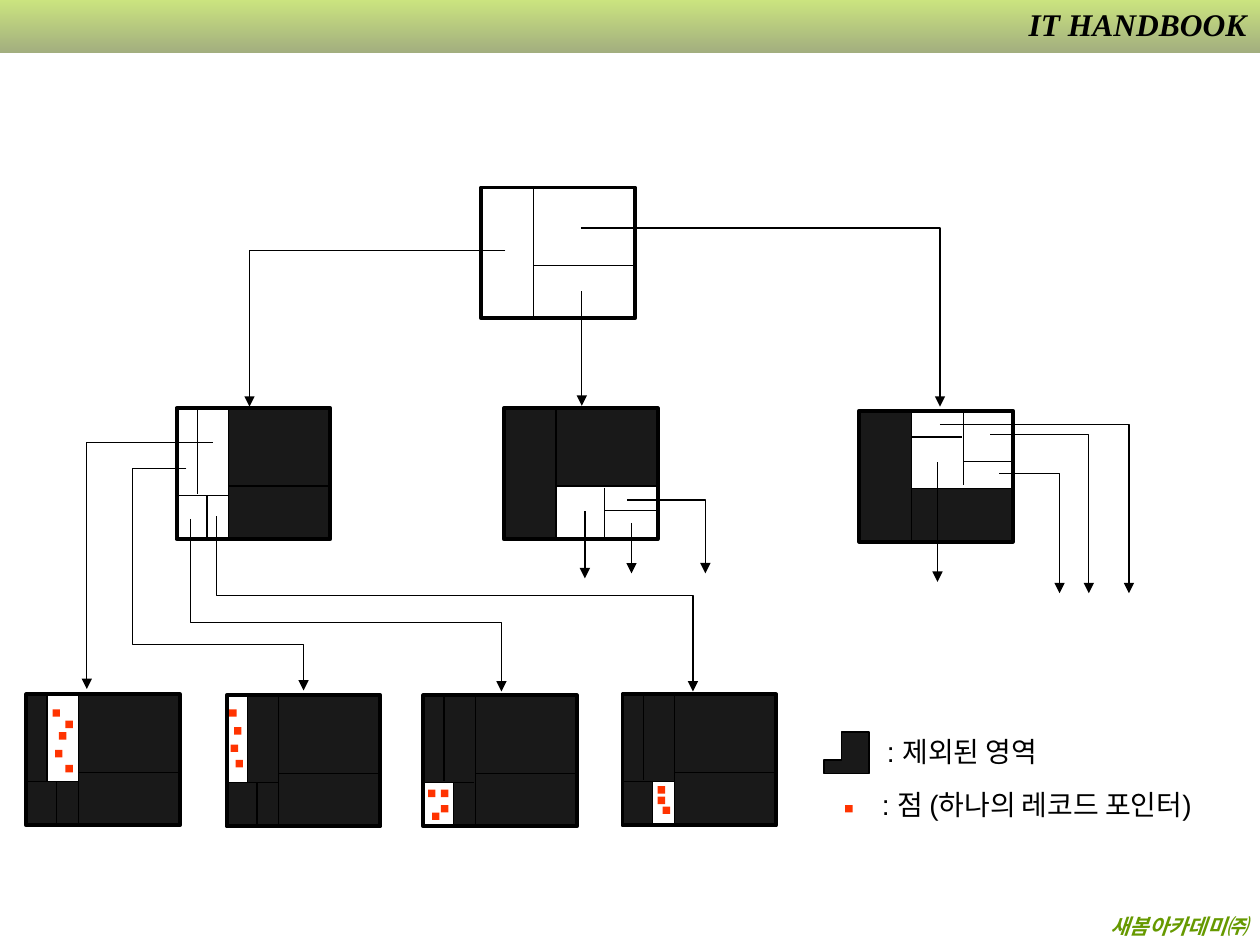
from lxml import etree
from pptx import Presentation
from pptx.dml.color import RGBColor
from pptx.enum.shapes import MSO_CONNECTOR, MSO_SHAPE
from pptx.enum.text import PP_ALIGN
from pptx.oxml.ns import qn
from pptx.util import Cm, Pt

RECT = MSO_SHAPE.RECTANGLE
STRAIGHT = MSO_CONNECTOR.STRAIGHT
LEFT, RIGHT = PP_ALIGN.LEFT, PP_ALIGN.RIGHT

COLORS = {"ink": "000000", "dot": "FF3300", "lime": "99CC00",
          "olive": "475E00", "publisher": "669900", "shadow": "FFFFFF"}

# Node geometry in cm: outer size, main split, and the split of the left part
W, H = 3.1, 2.64
SPLIT_X, SPLIT_Y = 1.05, 1.57
TOP_X, BOTTOM_X, SUB_Y = 0.42, 0.61, 1.76
DOT = 0.15

MAIN_LINES = [(SPLIT_X, 0, SPLIT_X, H), (SPLIT_X, SPLIT_Y, W, SPLIT_Y)]
LEFT_LINES = [(0, SUB_Y, 1.03, SUB_Y), (TOP_X, 0, TOP_X, 1.73),
              (BOTTOM_X, SUB_Y, BOTTOM_X, H)]
RIGHT_BLOCK = [(SPLIT_X, 0), (W, 0), (W, H), (SPLIT_X, H)]

# (x, y, excluded areas, inner lines, arrows), all relative to the node
BRANCHES = [
    (9.7, 3.78, [], [],
     [[(0.49, 1.27), (-4.67, 1.27), (-4.67, 4.42)],
      [(2.03, 2.09), (2.03, 4.4)],
      [(2.01, 0.82), (9.25, 0.82), (9.25, 4.42)]]),
    (3.56, 8.23, [RIGHT_BLOCK], LEFT_LINES,
     [[(0.73, 0.69), (-1.81, 0.69), (-1.81, 5.66)],
      [(0.2, 1.22), (-0.89, 1.22), (-0.89, 4.77), (2.56, 4.77), (2.56, 5.69)],
      [(0.81, 2.18), (0.81, 3.78), (10.41, 3.78), (10.41, 5.71)],
      [(0.28, 2.23), (0.28, 4.32), (6.55, 4.32), (6.55, 5.71)]]),
    (10.16, 8.23,
     [[(0, 0), (0, H), (SPLIT_X, H), (SPLIT_X, SPLIT_Y), (W, SPLIT_Y), (W, 0)]],
     [(2.03, 1.6, 2.03, H), (2.03, 2.06, 3.07, 2.06)],
     [[(1.63, 2.08), (1.63, 3.43)],
      [(2.49, 1.85), (4.06, 1.85), (4.06, 3.33)],
      [(2.57, 2.31), (2.57, 3.33)]]),
    (17.32, 8.28,
     [[(0, 0), (0, H), (W, H), (W, SPLIT_Y), (SPLIT_X, SPLIT_Y), (SPLIT_X, 0)]],
     [(2.11, 0.03, 2.11, 1.5), (SPLIT_X, 0.53, 2.08, 0.53), (2.11, 1.02, 3.07, 1.02)],
     [[(1.58, 1.04), (1.58, 3.45)],
      [(2.82, 1.27), (4.04, 1.27), (4.04, 3.68)],
      [(2.64, 0.48), (4.63, 0.48), (4.63, 3.68)],
      [(1.63, 0.28), (5.44, 0.28), (5.44, 3.68)]]),
]

# (x, y, excluded part of the left side, dots)
LEAVES = [
    (0.53, 14.0,
     [(0, 0), (0, H), (SPLIT_X, H), (SPLIT_X, SUB_Y), (TOP_X, SUB_Y), (TOP_X, 0)],
     [(0.53, 0.3), (0.79, 0.53), (0.66, 0.76), (0.58, 1.12), (0.79, 1.42)]),
    (4.57, 14.02,
     [(TOP_X, 0), (TOP_X, SUB_Y), (0, SUB_Y), (0, H), (SPLIT_X, H), (SPLIT_X, 0)],
     [(0.05, 0.28), (0.15, 0.64), (0.08, 0.99), (0.18, 1.3)]),
    (8.53, 14.02,
     [(0, 0), (0, SUB_Y), (BOTTOM_X, SUB_Y), (BOTTOM_X, H), (SPLIT_X, H), (SPLIT_X, 0)],
     [(0.1, 1.9), (0.36, 1.9), (0.36, 2.21), (0.18, 2.36)]),
    (12.55, 14.0,
     [(0, 0), (0, H), (BOTTOM_X, H), (BOTTOM_X, SUB_Y), (SPLIT_X, SUB_Y), (SPLIT_X, 0)],
     [(0.71, 1.85), (0.71, 2.06), (0.81, 2.26)]),
]


def rgb(name):
    return RGBColor.from_string(COLORS[name])


def set_alpha(clr, percent):
    etree.SubElement(clr, qn("a:alpha"), val=str(percent * 1000))


def ink_line(sp, width=0.75, arrow=False):
    sp.line.color.rgb = rgb("ink")
    sp.line.width = Pt(width)
    if arrow:
        ln = sp._element.spPr.find(qn("a:ln"))
        etree.SubElement(ln, qn("a:tailEnd"), type="triangle")


def add_rect(slide, x, y, w, h):
    sp = slide.shapes.add_shape(RECT, Cm(x), Cm(y), Cm(w), Cm(h))
    sp.shadow.inherit = False
    return sp


def add_line(slide, x1, y1, x2, y2, arrow=False):
    line = slide.shapes.add_connector(STRAIGHT, Cm(x1), Cm(y1), Cm(x2), Cm(y2))
    etree.SubElement(line._element.spPr, qn("a:effectLst"))
    ink_line(line, arrow=arrow)


def add_outline(slide, x, y, points, close):
    pts = [(Cm(x + px), Cm(y + py)) for px, py in points]
    builder = slide.shapes.build_freeform(*pts[0])
    builder.add_line_segments(pts[1:], close=close)
    sp = builder.convert_to_shape()
    sp.shadow.inherit = False
    return sp


def add_excluded(slide, x, y, points):
    sp = add_outline(slide, x, y, points, True)
    sp.fill.solid()
    sp.fill.fore_color.rgb = rgb("ink")
    set_alpha(sp._element.spPr.find(".//" + qn("a:srgbClr")), 90)
    ink_line(sp)


def add_arrow(slide, x, y, points):
    if len(points) == 2:
        (x1, y1), (x2, y2) = points
        add_line(slide, x + x1, y + y1, x + x2, y + y2, arrow=True)
    else:
        sp = add_outline(slide, x, y, points, False)
        sp.fill.background()
        ink_line(sp, arrow=True)


def add_dot(slide, x, y):
    sp = add_rect(slide, x, y, DOT, DOT)
    sp.fill.solid()
    sp.fill.fore_color.rgb = rgb("dot")
    sp.line.fill.background()


def add_node(slide, x, y, excluded, lines, arrows=(), dots=()):
    frame = add_rect(slide, x, y, W, H)
    frame.fill.background()
    ink_line(frame, 2.25)
    for area in excluded:
        add_excluded(slide, x, y, area)
    for x1, y1, x2, y2 in MAIN_LINES + lines:
        add_line(slide, x + x1, y + y1, x + x2, y + y2)
    for points in arrows:
        add_arrow(slide, x, y, points)
    for dx, dy in dots:
        add_dot(slide, x + dx, y + dy)


def add_text(slide, x, y, w, h, text, size, font, color="ink", align=LEFT,
             emphasis=False, wrap=True):
    tf = slide.shapes.add_textbox(Cm(x), Cm(y), Cm(w), Cm(h)).text_frame
    tf.word_wrap = wrap
    tf.text = text
    p = tf.paragraphs[0]
    p.alignment = align
    r = p.runs[0]
    r.font.size = Pt(size)
    r.font.name = font
    r.font.bold = r.font.italic = emphasis
    r.font.color.rgb = rgb(color)
    return r


def add_text_shadow(r):
    effects = etree.Element(qn("a:effectLst"))
    shadow = etree.SubElement(effects, qn("a:outerShdw"), dist="25400", dir="2700000")
    etree.SubElement(shadow, qn("a:srgbClr"), val=COLORS["shadow"])
    r._r.rPr.find(qn("a:latin")).addprevious(effects)


def add_header(slide, x, y, w, h):
    band = add_rect(slide, x, y, w, h)
    band.line.fill.background()
    band.fill.gradient()
    band.fill.gradient_angle = 270
    for stop, name in zip(band.fill.gradient_stops, ("lime", "olive")):
        stop.color.rgb = rgb(name)
    for clr in band._element.spPr.iter(qn("a:srgbClr")):
        set_alpha(clr, 50)
    r = add_text(slide, x + w - 5.38, y - 0.03, 5.36, 1.02, "IT HANDBOOK", 18,
                 "Times New Roman", align=RIGHT, emphasis=True)
    add_text_shadow(r)


def add_legend(slide, x, y):
    add_excluded(slide, x, y, [(0.36, 0), (0.36, 0.56), (0, 0.56),
                               (0, 0.84), (0.91, 0.84), (0.91, 0)])
    add_text(slide, x + 1.02, y - 0.08, 3.71, 0.94, ": 제외된 영역", 16, "Arial", wrap=False)
    add_dot(slide, x + 0.43, y + 1.47)
    add_text(slide, x + 0.92, y + 0.99, 7.39, 0.94, ": 점 (하나의 레코드 포인터)", 16,
             "Arial", wrap=False)


def main():
    prs = Presentation()
    prs.slide_width, prs.slide_height = Cm(25.4), Cm(19.05)
    slide = prs.slides.add_slide(prs.slide_layouts[6])
    add_header(slide, 0, 0, 25.4, 1.07)
    add_text(slide, 0.15, 18.29, 25.25, 0.76, "새봄아카데미㈜", 12, "Times New Roman",
             "publisher", RIGHT, emphasis=True)
    for branch in BRANCHES:
        add_node(slide, *branch)
    for x, y, left_area, dots in LEAVES:
        add_node(slide, x, y, [RIGHT_BLOCK, left_area], LEFT_LINES, dots=dots)
    add_legend(slide, 16.61, 14.76)
    prs.save("out.pptx")


if __name__ == "__main__":
    main()
